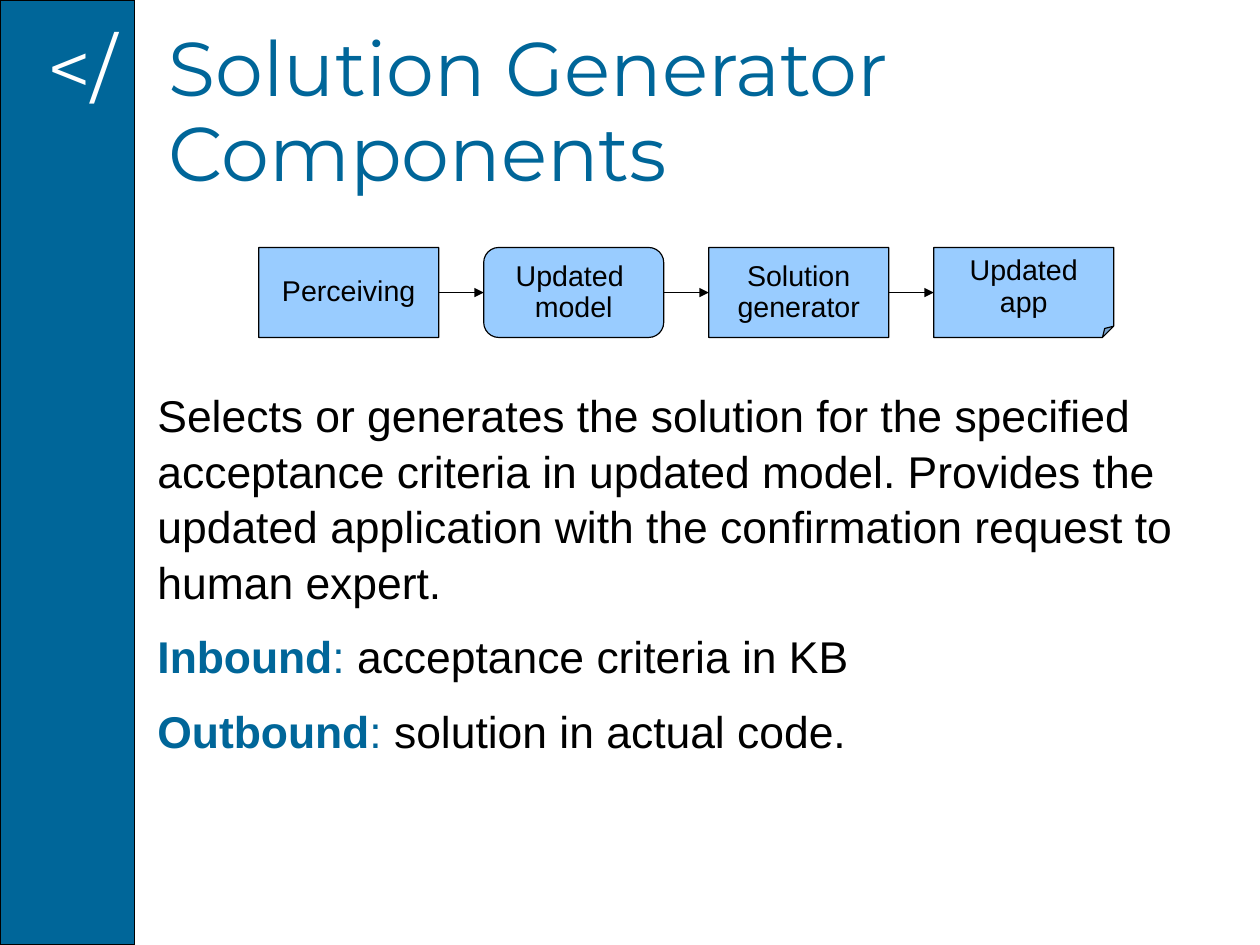
from dataclasses import dataclass

import pptx
import pptx.dml.color
import pptx.enum.shapes
import pptx.enum.text
import pptx.oxml
import pptx.oxml.ns
import pptx.util
from lxml import etree

Cm, Pt = pptx.util.Cm, pptx.util.Pt
RGB = pptx.dml.color.RGBColor.from_string
SHAPE = pptx.enum.shapes.MSO_SHAPE
CENTER = pptx.enum.text.PP_ALIGN.CENTER
MIDDLE = pptx.enum.text.MSO_ANCHOR.MIDDLE
qn = pptx.oxml.ns.qn


@dataclass(frozen=True)
class Theme:
    """Colours, fonts and sizes of the slide."""
    accent: str = "006699"
    box: str = "99CCFF"
    ink: str = "000000"
    paper: str = "FFFFFF"
    heading_font: str = "Montserrat"
    body_font: str = "Arial"
    heading_size: int = 48
    body_size: int = 28
    label_size: int = 18
    line_width: float = 0.75
    tight: float = 0.93
    loose: float = 1.04


class SlideBuilder:
    """Draws styled elements on one slide."""

    def __init__(self, slide, theme):
        """Keep the slide and its theme."""
        self.slide, self.theme = slide, theme

    def style(self, p, font, size, color, spacing):
        """Set the font and line spacing of a paragraph."""
        p.font.name, p.font.size = font, Pt(size)
        p.font.color.rgb = RGB(color)
        p.line_spacing = spacing

    def shape(self, kind, left, top, width, height, fill):
        """Add a filled, outlined shape; lengths in centimetres."""
        sp = self.slide.shapes.add_shape(
            kind, Cm(left), Cm(top), Cm(width), Cm(height))
        sp.shadow.inherit = False
        sp.fill.solid()
        sp.fill.fore_color.rgb = RGB(fill)
        sp.line.color.rgb = RGB(self.theme.ink)
        sp.line.width = Pt(self.theme.line_width)
        return sp

    def set_corner(self, sp, percent):
        """Set the corner size in XML, as folded corners lack adjustments."""
        guides = sp._element.spPr.find(qn("a:prstGeom")).find(qn("a:avLst"))
        for gd in list(guides):
            guides.remove(gd)
        etree.SubElement(guides, qn("a:gd"), name="adj",
                         fmla=f"val {round(percent * 1000)}")

    def step(self, kind, corner, lines, left, top, width, height):
        """Add a flow box with one centred paragraph per line."""
        t = self.theme
        sp = self.shape(kind, left, top, width, height, t.box)
        self.set_corner(sp, corner)
        tf = sp.text_frame
        tf.text = "\n".join(lines)
        tf.word_wrap = False
        tf.vertical_anchor = MIDDLE
        for p in tf.paragraphs:
            p.alignment = CENTER
            self.style(p, t.body_font, t.label_size, t.ink, t.tight)
        return sp

    def arrow(self, source, target):
        """Join the right side of one box to the left side of the next."""
        cn = self.slide.shapes.add_connector(
            pptx.enum.shapes.MSO_CONNECTOR.STRAIGHT, 0, 0, 0, 0)
        cn.begin_connect(source, 3)
        cn.end_connect(target, 1)
        cn.line.color.rgb = RGB(self.theme.ink)
        cn.line.width = Pt(self.theme.line_width)
        line = cn._element.spPr.find(qn("a:ln"))
        etree.SubElement(line, qn("a:tailEnd"), type="triangle")
        etree.SubElement(cn._element.spPr, qn("a:effectLst"))

    def heading(self, text, left, top, width, height, color):
        """Add heading text that does not wrap."""
        t = self.theme
        tf = self.slide.shapes.add_textbox(
            Cm(left), Cm(top), Cm(width), Cm(height)).text_frame
        tf.word_wrap = False
        p = tf.paragraphs[0]
        p.text = text
        self.style(p, t.heading_font, t.heading_size, color, t.tight)

    def body(self, paragraphs, left, top, width, height):
        """Add paragraphs of (term, text), with the term highlighted."""
        t = self.theme
        tf = self.slide.shapes.add_textbox(
            Cm(left), Cm(top), Cm(width), Cm(height)).text_frame
        tf.word_wrap = True
        tf.margin_left = tf.margin_right = tf.margin_bottom = 0
        tf.margin_top = Cm(0.08)
        for i, (term, text) in enumerate(paragraphs):
            p = tf.add_paragraph() if i else tf.paragraphs[0]
            self.style(p, t.body_font, t.body_size, t.ink, t.loose)
            p.space_after = Pt(12)
            if term:
                for part, bold in ((term, True), (": ", False)):
                    r = p.add_run()
                    r.text, r.font.bold = part, bold
                    r.font.color.rgb = RGB(t.accent)
            p.add_run().text = text


STEPS = [
    (SHAPE.ROUNDED_RECTANGLE, 0.3, ["Perceiving"]),
    (SHAPE.ROUNDED_RECTANGLE, 16.7, ["Updated ", "model"]),
    (SHAPE.ROUNDED_RECTANGLE, 0.3, ["Solution", "generator"]),
    (SHAPE.FOLDED_CORNER, 12.5, ["Updated", "app"]),
]
BODY = [
    (None, "Selects or generates the solution for the specified acceptance "
           "criteria in updated model. Provides the updated application with "
           "the confirmation request to human expert."),
    ("Inbound", "acceptance criteria in KB"),
    ("Outbound", "solution in actual code."),
]
STEP_LEFT, STEP_TOP, STEP_WIDTH, STEP_HEIGHT, STEP_GAP = 5.75, 5.5, 4, 2, 1


def main():
    """Build the slide and save it."""
    prs = pptx.Presentation()
    prs.slide_width, prs.slide_height = Cm(28), Cm(21)
    theme = Theme()
    s = SlideBuilder(prs.slides.add_slide(prs.slide_layouts[6]), theme)

    s.body(BODY, 3.5, 8.5, 23.5, 12)
    boxes = [
        s.step(kind, corner, lines, STEP_LEFT + i * (STEP_WIDTH + STEP_GAP),
               STEP_TOP, STEP_WIDTH, STEP_HEIGHT)
        for i, (kind, corner, lines) in enumerate(STEPS)
    ]
    for source, target in zip(boxes, boxes[1:]):
        s.arrow(source, target)

    s.shape(SHAPE.RECTANGLE, 0, 0, 3, 21, theme.accent)
    s.heading("</", 0.8, 0.5, 2.1, 2.15, theme.paper)
    s.heading("Solution Generator\vComponents", 3.5, 0.5, 18.15, 4.05, theme.accent)
    prs.save("out.pptx")


main()
